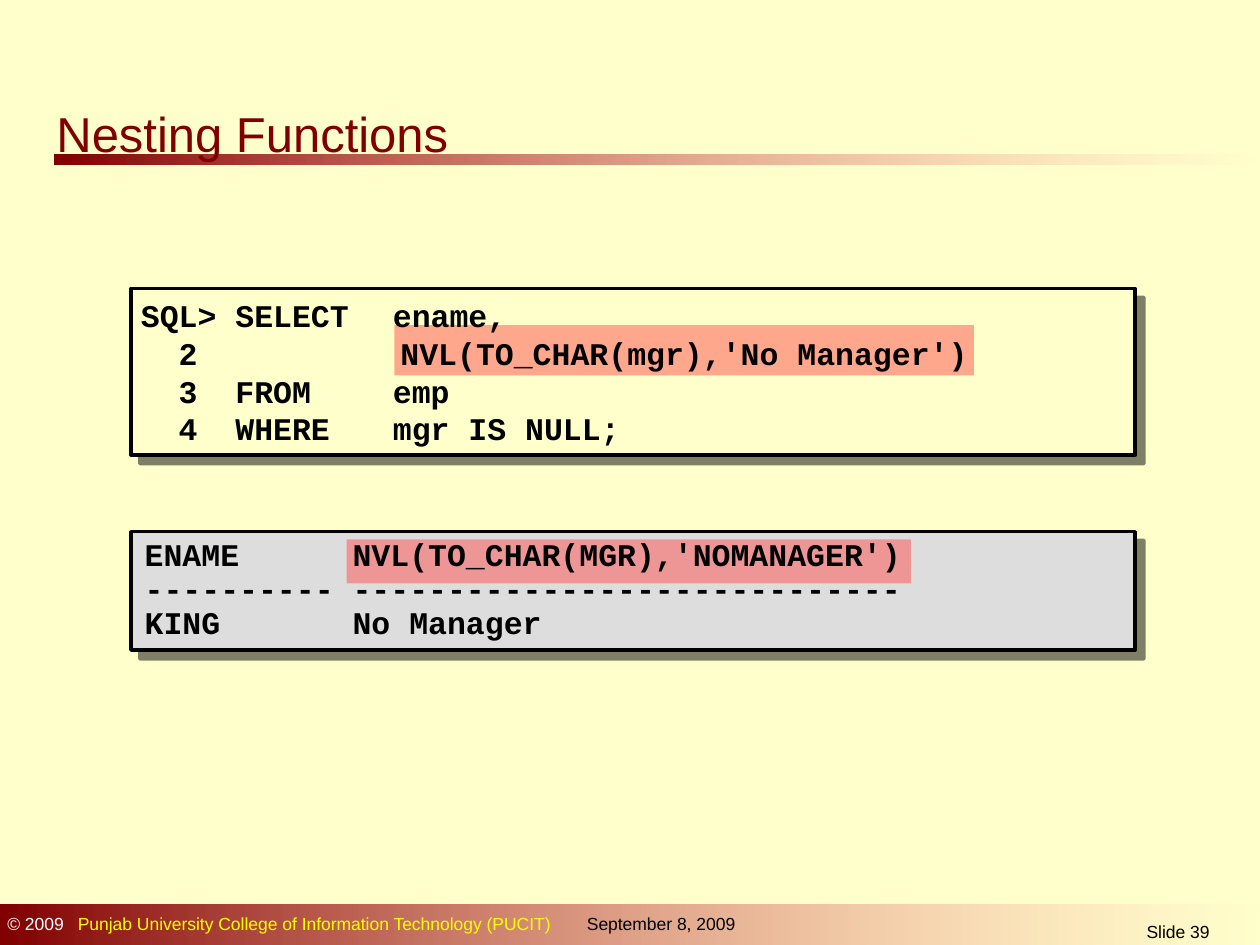
from pptx import Presentation
from pptx.dml.color import RGBColor
from pptx.enum.shapes import MSO_SHAPE as Shape
from pptx.enum.text import MSO_ANCHOR as Anchor, PP_ALIGN as Align
from pptx.oxml.ns import qn
from pptx.util import Inches, Pt
from lxml.etree import SubElement as Sub

CODE = [
    "SQL> SELECT\tename,",
    "  2\t     NVL(TO_CHAR(mgr),'No Manager')",
    "  3  FROM\temp",
    "  4  WHERE\tmgr IS NULL;",
]
ROWS = [
    "ENAME      NVL(TO_CHAR(MGR),'NOMANAGER')",
    "---------- -----------------------------",
    "KING       No Manager",
]


def paint(fmt, color):
    fmt.rgb = RGBColor.from_string(color)


def fade(node, percent):
    Sub(node, qn("a:alpha"), val=str(percent * 1000))


def add_rect(slide, box):
    rect = slide.shapes.add_shape(Shape.RECTANGLE, *map(Inches, box))
    rect.shadow.inherit = False
    rect.line.fill.background()
    return rect


def add_text(slide, box, lines, size=10, font="Arial", color="000000", bold=False,
             align=Align.LEFT, anchor=Anchor.TOP, space=1.0, tabs=()):
    frame = slide.shapes.add_textbox(*map(Inches, box)).text_frame
    frame.word_wrap = True
    frame.vertical_anchor = anchor
    for i, line in enumerate(lines):
        para = frame.paragraphs[0] if i == 0 else frame.add_paragraph()
        para.alignment = align
        para.line_spacing = space
        if tabs:
            stops = Sub(para._p.get_or_add_pPr(), qn("a:tabLst"))
            for stop in tabs:
                Sub(stops, qn("a:tab"), pos=str(Inches(stop)), algn="l")
        parts = [(line, color)] if isinstance(line, str) else line
        for text, tone in parts:
            run = para.add_run()
            run.text = text
            run.font.name = font
            run.font.size = Pt(size)
            run.font.bold = bold
            paint(run.font.color, tone)


def add_bar(slide, box):
    bar = add_rect(slide, box)
    bar.fill.gradient()
    bar.fill.gradient_angle = 0
    for stop, color in zip(bar.fill.gradient_stops, ("800000", "FF8585")):
        paint(stop.color, color)
    last = bar._element.spPr.findall(".//" + qn("a:srgbClr"))[-1]
    fade(last, 0)


def add_mark(slide, box):
    mark = add_rect(slide, box)
    mark.fill.solid()
    paint(mark.fill.fore_color, "FF5050")
    fade(mark._element.spPr.find(".//" + qn("a:srgbClr")), 50)


def add_panel(slide, box, color):
    panel = add_rect(slide, box)
    panel.fill.solid()
    paint(panel.fill.fore_color, color)
    panel.line.width = Pt(2)
    paint(panel.line.color, "000000")
    effects = panel._element.spPr.find(qn("a:effectLst"))
    shadow = Sub(effects, qn("a:outerShdw"), blurRad="0", dist=str(Pt(7.1)),
                 dir=str(45 * 60000), algn="ctr", rotWithShape="0")
    fade(Sub(shadow, qn("a:srgbClr"), val="000000"), 50)


def add_title(slide, box):
    x, y, w, h = box
    add_bar(slide, (x + 0.08, y + h - 0.05, w - 0.08, 0.08))
    add_text(slide, (x, y, 4, h), ["Nesting Functions"], size=28, color="800000")


def add_query(slide, box):
    x, y, w, h = box
    add_panel(slide, box, "FFFFCC")
    add_mark(slide, (x + 2.09, y + 0.29, 4.6, 0.4))
    add_text(slide, (x - 0.02, y - 0.14, w + 0.03, h + 0.28), CODE, size=18,
             font="Courier New", bold=True, anchor=Anchor.MIDDLE, tabs=(1.31, 2))


def add_result(slide, box):
    x, y, w, h = box
    add_panel(slide, box, "DDDDDD")
    add_mark(slide, (x + 1.71, y + 0.06, 4.48, 0.35))
    add_text(slide, (x + 0.01, y + 0.01, w - 0.03, h - 0.03), ROWS, size=18,
             font="Courier New", bold=True, space=0.9)


def add_footer(slide, box):
    x, y, w, h = box
    add_bar(slide, box)
    owner = [("© 2009\t", "FFFFFF"),
             ("Punjab University College of Information Technology (PUCIT)", "FFFF00")]
    add_text(slide, (x - 0.04, y + 0.02, 4.6, 0.27), [owner], tabs=(0.56,))
    add_text(slide, (x + 4.56, y + 0.02, 1.54, 0.27), ["September 8, 2009"])
    add_text(slide, (x + 8.31, y + 0.08, 2.08, 0.24), ["Slide 39"], align=Align.CENTER)


def main():
    deck = Presentation()
    deck.slide_width, deck.slide_height = Inches(10), Inches(7.5)
    slide = deck.slides.add_slide(deck.slide_layouts[6])
    slide.background.fill.solid()
    paint(slide.background.fill.fore_color, "FFFFCC")
    add_title(slide, (0.35, 0.77, 9.65, 0.51))
    add_query(slide, (1.04, 2.29, 7.97, 1.32))
    add_result(slide, (1.04, 4.22, 7.97, 0.94))
    add_footer(slide, (0, 7.18, 10.03, 0.35))
    deck.save("out.pptx")


if __name__ == "__main__":
    main()
